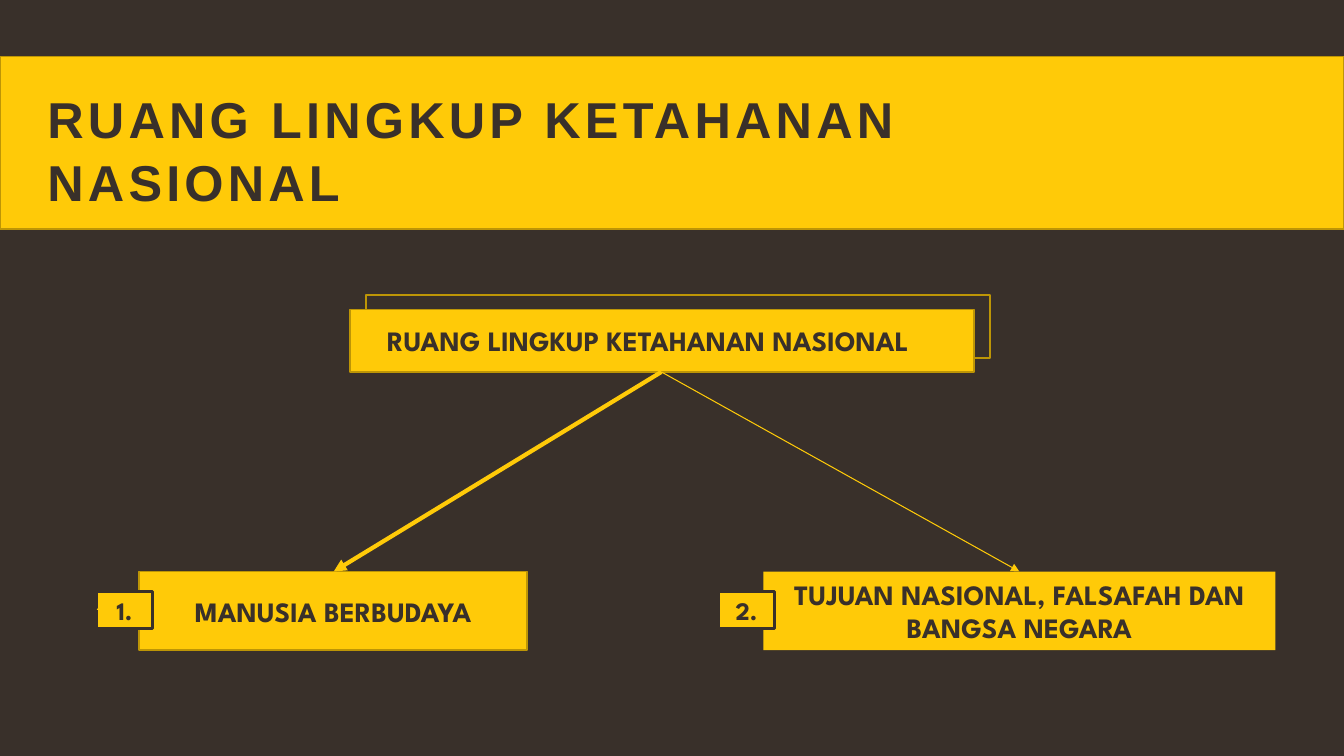
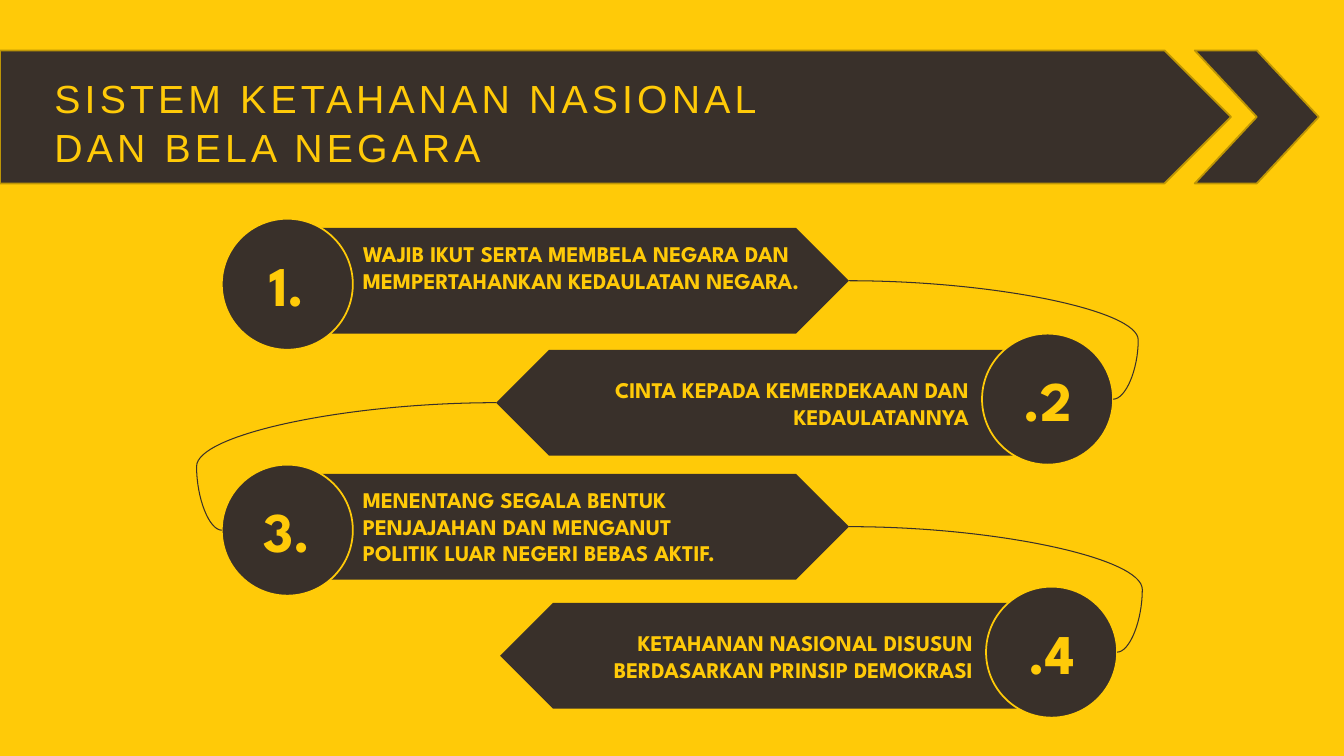
import pptx
import pptx.util
import pptx.dml.color
import pptx.enum.shapes
import pptx.enum.text
import pptx.oxml
import pptx.oxml.ns
import lxml.etree

Inches = pptx.util.Inches
Pt = pptx.util.Pt
Shape = pptx.enum.shapes.MSO_SHAPE
Connector = pptx.enum.shapes.MSO_CONNECTOR
Align = pptx.enum.text.PP_ALIGN
Anchor = pptx.enum.text.MSO_ANCHOR
AutoSize = pptx.enum.text.MSO_AUTO_SIZE
qn = pptx.oxml.ns.qn

COLORS = {"dark": "39302A", "yellow": "FFCA08", "edge": "BD9506"}


class Deck:
    heading_font = "Arial"
    body_font = "League Spartan"

    def __init__(self):
        self.presentation = pptx.Presentation()
        self.presentation.slide_width = Inches(13.33)
        self.presentation.slide_height = Inches(7.5)
        self.slide = None

    def color(self, name):
        return pptx.dml.color.RGBColor.from_string(COLORS[name])

    def new_slide(self, background):
        self.slide = self.presentation.slides.add_slide(self.presentation.slide_layouts[5])
        fill = self.slide.background.fill
        fill.solid()
        fill.fore_color.rgb = self.color(background)

    def add_lines(self, frame, lines, size, color, align=Align.LEFT, bold=True, font=None):
        for index, line in enumerate(lines):
            paragraph = frame.paragraphs[0] if index == 0 else frame.add_paragraph()
            paragraph.alignment = align
            run = paragraph.add_run()
            run.text = line
            run.font.name = font or self.body_font
            run.font.size = Pt(size)
            run.font.bold = bold
            run.font.color.rgb = self.color(color)

    def title(self, lines, left, top, width, height, size, color, bold):
        title = self.slide.shapes.title
        title.left, title.top = Inches(left), Inches(top)
        title.width, title.height = Inches(width), Inches(height)
        frame = title.text_frame
        frame.word_wrap = True
        frame.auto_size = AutoSize.NONE
        frame.vertical_anchor = Anchor.TOP
        self.add_lines(frame, lines, size, color, bold=bold, font=self.heading_font)
        for paragraph in frame.paragraphs:
            paragraph.line_spacing = 1.05
        for properties in title.element.iter(qn("a:rPr")):
            properties.set("spc", "300")

    def shape(self, kind, left, top, width, height, fill=None, line=None, line_width=1.25):
        shape = self.slide.shapes.add_shape(
            kind, Inches(left), Inches(top), Inches(width), Inches(height))
        shape.shadow.inherit = False
        if fill:
            shape.fill.solid()
            shape.fill.fore_color.rgb = self.color(fill)
        else:
            shape.fill.background()
        if line:
            shape.line.color.rgb = self.color(line)
            shape.line.width = Pt(line_width)
        else:
            shape.line.fill.background()
        return shape

    def band(self, kind, left, top, width, height, fill):
        band = self.shape(kind, left, top, width, height, fill, "edge")
        self.slide.shapes.title.element.addprevious(band.element)

    def label(self, shape, lines, size, color):
        shape.text_frame.word_wrap = True
        shape.text_frame.vertical_anchor = Anchor.MIDDLE
        self.add_lines(shape.text_frame, lines, size, color, Align.CENTER)

    def text(self, line, left, top, width, height, size, color, align=Align.LEFT):
        box = self.slide.shapes.add_textbox(
            Inches(left), Inches(top), Inches(width), Inches(height))
        box.text_frame.word_wrap = True
        self.add_lines(box.text_frame, [line], size, color, align)

    def connector(self, kind, start, end, color, width):
        connector = self.slide.shapes.add_connector(
            kind, *(Inches(value) for value in (*start, *end)))
        connector.line.color.rgb = self.color(color)
        connector.line.width = Pt(width)
        properties = connector.element.spPr
        lxml.etree.SubElement(properties, qn("a:effectLst"))
        return properties

    def arrow(self, start, end, width):
        properties = self.connector(Connector.STRAIGHT, start, end, "yellow", width)
        lxml.etree.SubElement(properties.find(qn("a:ln")), qn("a:tailEnd"), type="triangle")

    def curve(self, start, end, bulge):
        properties = self.connector(Connector.CURVE, start, end, "dark", 0.75)
        ratio = 1 + bulge / abs(end[0] - start[0])
        geometry = properties.find(qn("a:prstGeom"))
        adjustments = geometry.find(qn("a:avLst"))
        if adjustments is None:
            adjustments = lxml.etree.SubElement(geometry, qn("a:avLst"))
        lxml.etree.SubElement(
            adjustments, qn("a:gd"), name="adj1", fmla=f"val {round(ratio * 100000)}")


def build_scope(deck):
    deck.new_slide("dark")
    heading = "RUANG LINGKUP KETAHANAN NASIONAL"
    deck.title([heading], 0.37, 0.79, 11.18, 1.31, 36, "dark", True)
    deck.band(Shape.RECTANGLE, 0, 0.56, 13.33, 1.71, "yellow")
    deck.shape(Shape.RECTANGLE, 3.63, 2.93, 6.19, 0.62, line="edge")
    topics = [
        ("1.", ["MANUSIA BERBUDAYA"], 1.38, 3.85, "edge", 0.96),
        ("2.", ["TUJUAN NASIONAL, FALSAFAH DAN", "BANGSA NEGARA"], 7.57, 5.08, None, 7.13),
    ]
    for number, lines, left, width, line, number_left in topics:
        topic = deck.shape(Shape.RECTANGLE, left, 5.67, width, 0.78, "yellow", line)
        deck.label(topic, lines, 20, "dark")
        badge = deck.shape(Shape.RECTANGLE, number_left, 5.87, 0.55, 0.37, "yellow", "dark", 2.25)
        deck.label(badge, [number], 18, "dark")
    deck.shape(Shape.RECTANGLE, 3.47, 3.07, 6.19, 0.62, "yellow", "edge")
    deck.text(heading, 3.74, 3.16, 5.65, 0.44, 20, "dark")
    root = (6.56, 3.69)
    deck.arrow((1.11, 5.96), (0.96, 6.05), 3)
    deck.arrow(root, (3.31, 5.67), 3)
    deck.arrow(root, (10.11, 5.67), 0.75)


def build_system(deck):
    deck.new_slide("yellow")
    deck.title(["SISTEM KETAHANAN NASIONAL", "DAN BELA NEGARA"],
               0.44, 0.66, 10.9, 1.04, 28, "yellow", False)
    deck.band(Shape.PENTAGON, 0, 0.5, 12.21, 1.32, "dark")
    deck.band(Shape.CHEVRON, 11.85, 0.5, 1.23, 1.32, "dark")
    diameter, plate_width, plate_height = 1.3, 5.24, 1.05
    steps = [
        ("1.", "WAJIB IKUT SERTA MEMBELA NEGARA DAN MEMPERTAHANKAN KEDAULATAN NEGARA.",
         2.2, 2.17, 4.6),
        (".2", "CINTA KEPADA KEMERDEKAAN DAN KEDAULATANNYA", 9.74, 3.31, 4.32),
        ("3.", "MENENTANG SEGALA BENTUK PENJAJAHAN DAN MENGANUT POLITIK LUAR NEGERI BEBAS AKTIF.",
         2.2, 4.61, 4.04),
        (".4", "KETAHANAN NASIONAL DISUSUN BERDASARKAN PRINSIP DEMOKRASI", 9.78, 5.82, 4.32),
    ]
    tips, entries = [], []
    for index, (number, statement, left, top, text_width) in enumerate(steps):
        points_right = index % 2 == 0
        plate_left = left + 0.98 if points_right else left - 4.82
        plate_top = top + (0.09 if points_right else 0.16)
        plate = deck.shape(Shape.PENTAGON, plate_left, plate_top, plate_width, plate_height, "dark")
        circle = deck.shape(Shape.OVAL, left, top, diameter, diameter, "dark", "yellow")
        deck.label(circle, [number], 40, "yellow")
        if points_right:
            deck.text(statement, left + diameter, top + 0.16, text_width, 0.91, 16, "yellow")
        else:
            plate.rotation = 180
            deck.text(statement, left - 4.35, top + 0.37, text_width, 0.64, 16, "yellow",
                      Align.RIGHT)
        tips.append((plate_left + plate_width * points_right, plate_top + plate_height / 2))
        entries.append((left if points_right else left + diameter, top + diameter / 2))
    for tip, entry in zip(tips, entries[1:]):
        deck.curve(tip, entry, 0.25)


def main():
    deck = Deck()
    build_scope(deck)
    build_system(deck)
    deck.presentation.save("out.pptx")


if __name__ == "__main__":
    main()
